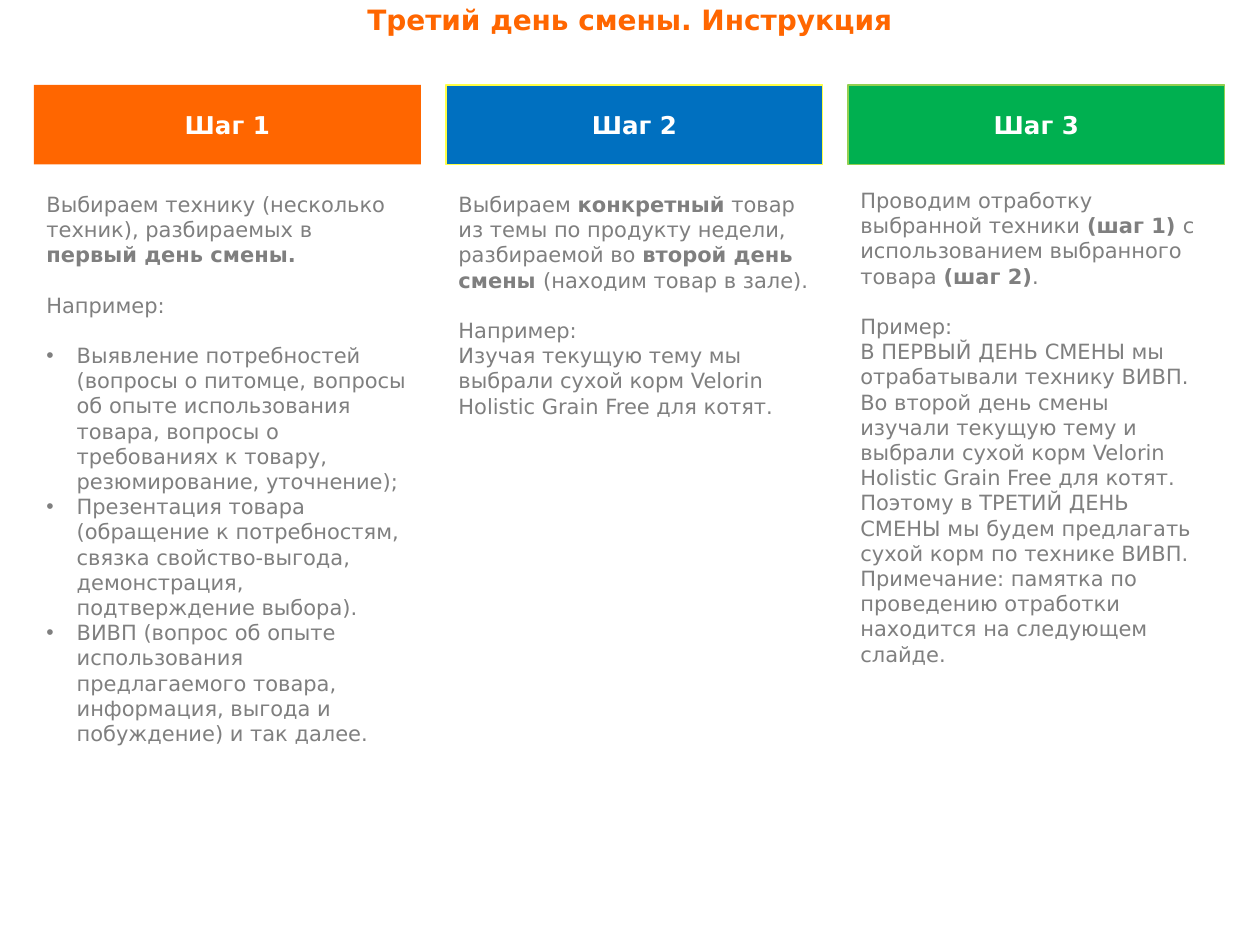
from dataclasses import dataclass
from typing import Optional

import lxml.etree
import pptx
import pptx.dml.color
import pptx.enum.shapes
import pptx.enum.text
import pptx.oxml.ns
import pptx.util

SLIDE_W, SLIDE_H = 10, 7.5
MARGIN, GAP = 0.027 * SLIDE_W, 0.02 * SLIDE_W
HEADER_TOP, HEADER_H = 0.09 * SLIDE_H, 0.084 * SLIDE_H
FONT = "DejaVu Sans"
ORANGE, WHITE, GREY = "FF6600", "FFFFFF", "7F7F7F"
BODY_SIZE, BLANK_LINE, BULLET_INDENT = 12, 14.4, 0.24


@dataclass
class Run:
    text: str
    bold: bool = False


@dataclass
class Para:
    runs: list[Run]
    gap: bool = False
    bullet: bool = False


@dataclass
class Step:
    title: str
    fill: str
    line: Optional[str]
    width: float
    body_top: float
    body_width: float
    body_height: float
    paras: list[Para]


STEPS = [
    Step("Шаг 1", ORANGE, None, 3.07, 1.47, 3.07, 4.96, [
        Para([Run("Выбираем технику (несколько техник), разбираемых в "),
              Run("первый день смены.", True)]),
        Para([Run("Например:")], gap=True),
        Para([Run("Выявление потребностей (вопросы о питомце, вопросы об опыте "
                  "использования товара, вопросы о требованиях к товару, "
                  "резюмирование, уточнение);")], gap=True, bullet=True),
        Para([Run("Презентация товара (обращение к потребностям, связка "
                  "свойство-выгода, демонстрация, подтверждение выбора).")],
             bullet=True),
        Para([Run("ВИВП (вопрос об опыте использования предлагаемого товара, "
                  "информация, выгода и побуждение) и так далее.")],
             bullet=True),
    ]),
    Step("Шаг 2", "0070C0", "FFFF47", 2.99, 1.47, 2.99, 2.99, [
        Para([Run("Выбираем "), Run("конкретный", True),
              Run(" товар из темы по продукту недели, разбираемой во "),
              Run("второй день смены ", True),
              Run("(находим товар в зале).")]),
        Para([Run("Например:")], gap=True),
        Para([Run("Изучая текущую тему мы выбрали сухой корм Velorin "
                  "Holistic Grain Free для котят.")]),
    ]),
    Step("Шаг 3", "00B050", "92D050", 2.99, 1.44, 2.91, 4.96, [
        Para([Run("Проводим отработку выбранной техники "),
              Run("(шаг 1) ", True),
              Run("с использованием выбранного товара "),
              Run("(шаг 2)", True), Run(".")]),
        Para([Run("Пример:")], gap=True),
        Para([Run("В ПЕРВЫЙ ДЕНЬ СМЕНЫ мы отрабатывали технику ВИВП. Во второй "
                  "день смены изучали текущую тему и выбрали сухой корм Velorin "
                  "Holistic Grain Free для котят. Поэтому в ТРЕТИЙ ДЕНЬ СМЕНЫ "
                  "мы будем предлагать сухой корм по технике ВИВП.")]),
        Para([Run("Примечание: памятка по проведению отработки находится на "
                  "следующем слайде.")]),
    ]),
]


def rgb(color: str) -> pptx.dml.color.RGBColor:
    return pptx.dml.color.RGBColor.from_string(color)


def box(left: float, top: float, width: float, height: float) -> list[int]:
    return [pptx.util.Inches(v) for v in (left, top, width, height)]


def add_run(p, text: str, size: float, color: str, bold: bool) -> None:
    r = p.add_run()
    r.text = text
    r.font.name = FONT
    r.font.size = pptx.util.Pt(size)
    r.font.bold = bold
    r.font.color.rgb = rgb(color)


def add_heading(sp, text: str, size: float, color: str, anchor) -> None:
    tf = sp.text_frame
    tf.word_wrap = True
    tf.vertical_anchor = anchor
    p = tf.paragraphs[0]
    p.alignment = pptx.enum.text.PP_ALIGN.CENTER
    add_run(p, text, size, color, True)


def set_bullet(p) -> None:
    qn = pptx.oxml.ns.qn
    pPr = p._p.get_or_add_pPr()
    indent = pptx.util.Inches(BULLET_INDENT)
    pPr.set("marL", str(indent))
    pPr.set("indent", str(-indent))
    clr = lxml.etree.SubElement(pPr, qn("a:buClr"))
    lxml.etree.SubElement(clr, qn("a:srgbClr"), val=GREY)
    lxml.etree.SubElement(pPr, qn("a:buFont"), typeface="Arial")
    lxml.etree.SubElement(pPr, qn("a:buChar"), char="•")


def add_header(slide, step: Step, left: float) -> None:
    sp = slide.shapes.add_shape(pptx.enum.shapes.MSO_SHAPE.RECTANGLE,
                                *box(left, HEADER_TOP, step.width, HEADER_H))
    sp.shadow.inherit = False
    sp.fill.solid()
    sp.fill.fore_color.rgb = rgb(step.fill)
    if step.line:
        sp.line.color.rgb = rgb(step.line)
        sp.line.width = pptx.util.Pt(0.75)
    else:
        sp.line.fill.background()
    add_heading(sp, step.title, 14, WHITE, pptx.enum.text.MSO_ANCHOR.MIDDLE)


def add_body(slide, step: Step, left: float) -> None:
    sp = slide.shapes.add_textbox(
        *box(left, step.body_top, step.body_width, step.body_height))
    tf = sp.text_frame
    tf.word_wrap = True
    for i, para in enumerate(step.paras):
        p = tf.add_paragraph() if i else tf.paragraphs[0]
        if para.bullet:
            set_bullet(p)
        if para.gap:
            p.space_before = pptx.util.Pt(BLANK_LINE)
        for run in para.runs:
            add_run(p, run.text, BODY_SIZE, GREY, run.bold)


def add_title(slide, text: str) -> None:
    sp = slide.shapes.title
    sp.left, sp.top, sp.width, sp.height = box(0, -0.03, SLIDE_W, 0.37)
    add_heading(sp, text, 16, ORANGE, pptx.enum.text.MSO_ANCHOR.TOP)
    sp.text_frame.auto_size = pptx.enum.text.MSO_AUTO_SIZE.SHAPE_TO_FIT_TEXT


def main() -> None:
    prs = pptx.Presentation()
    prs.slide_width = pptx.util.Inches(SLIDE_W)
    prs.slide_height = pptx.util.Inches(SLIDE_H)
    slide = prs.slides.add_slide(prs.slide_layouts[5])
    add_title(slide, "Третий день смены. Инструкция")
    left = MARGIN
    for step in STEPS:
        add_header(slide, step, left)
        add_body(slide, step, left)
        left += step.width + GAP
    prs.save("out.pptx")


if __name__ == "__main__":
    main()
